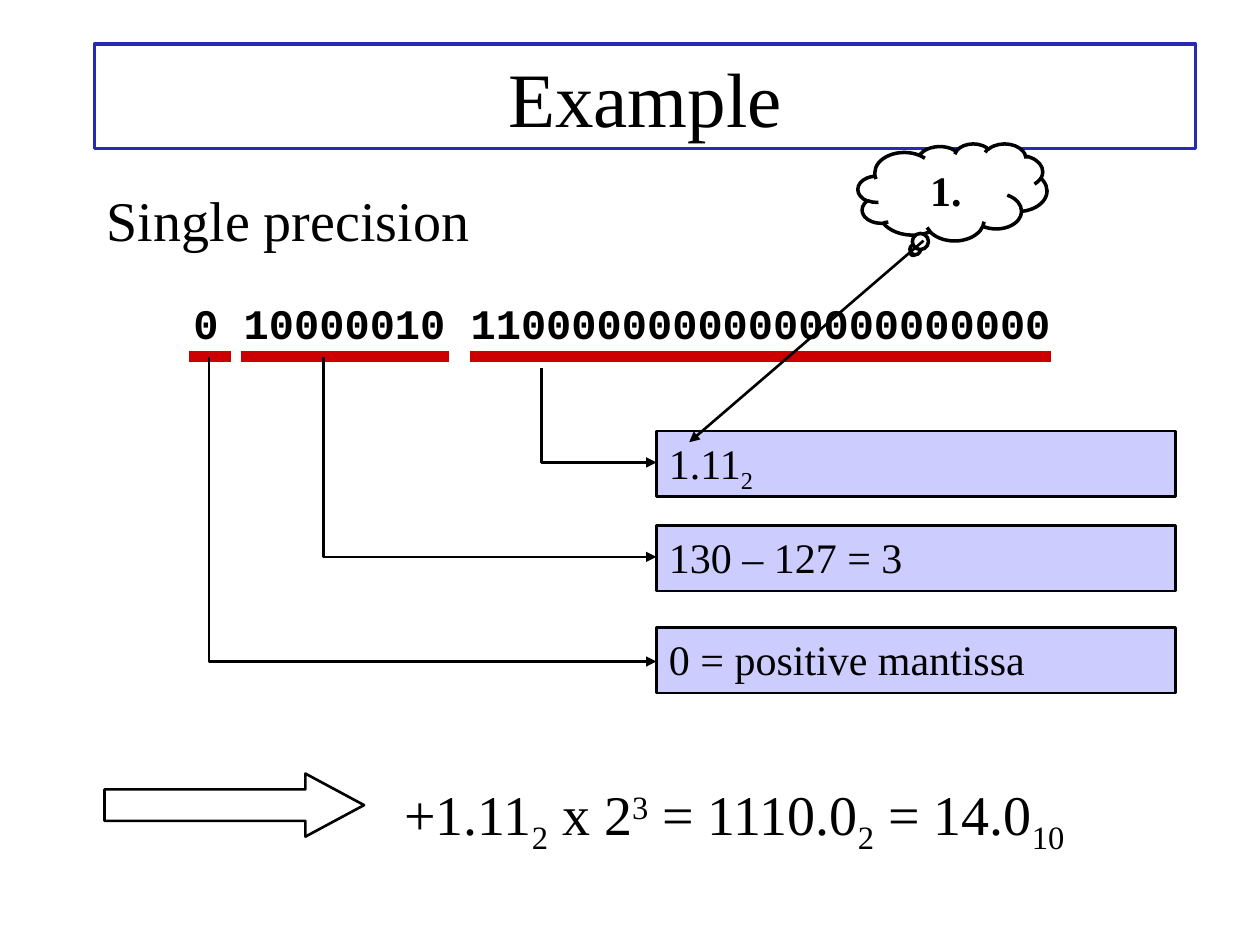
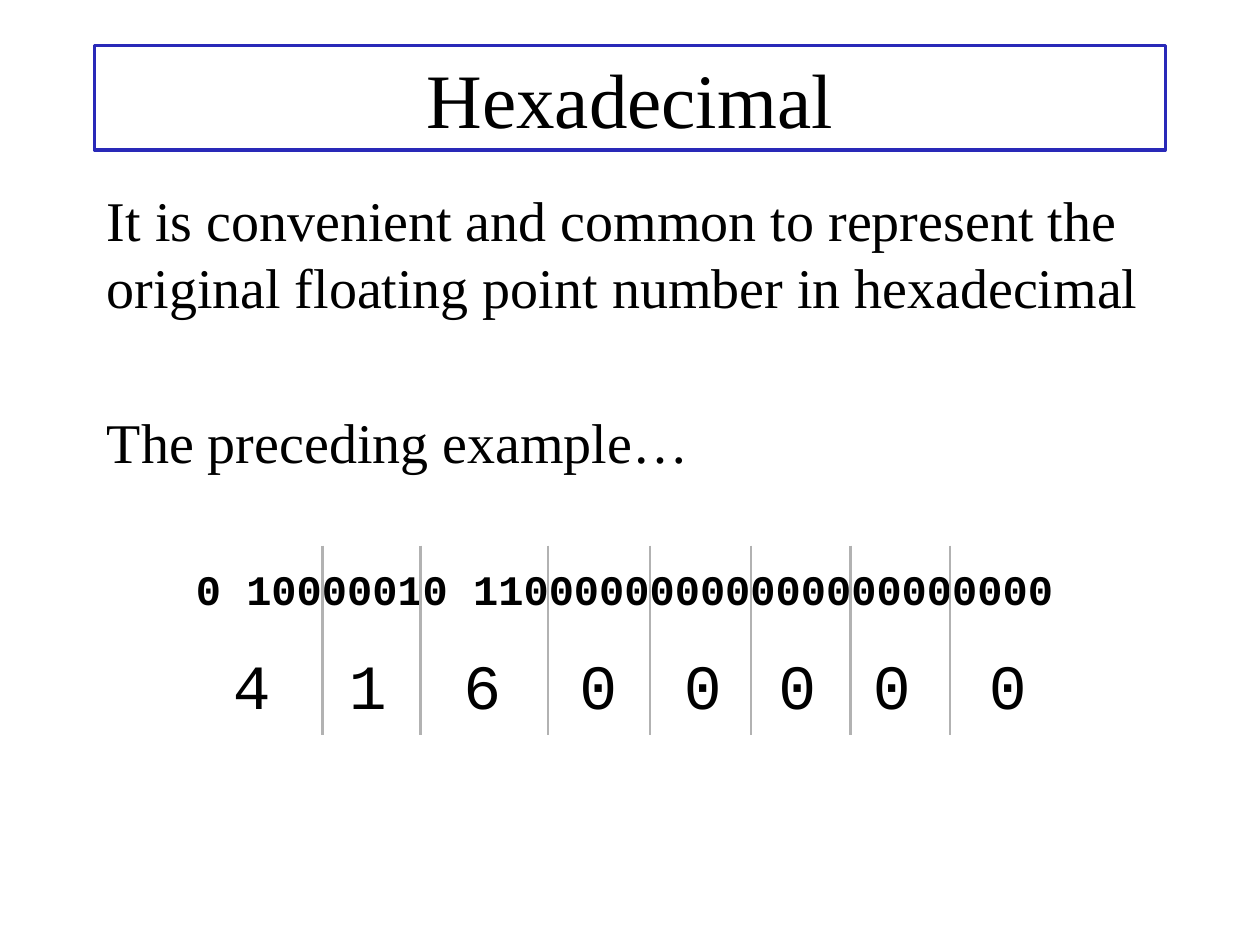
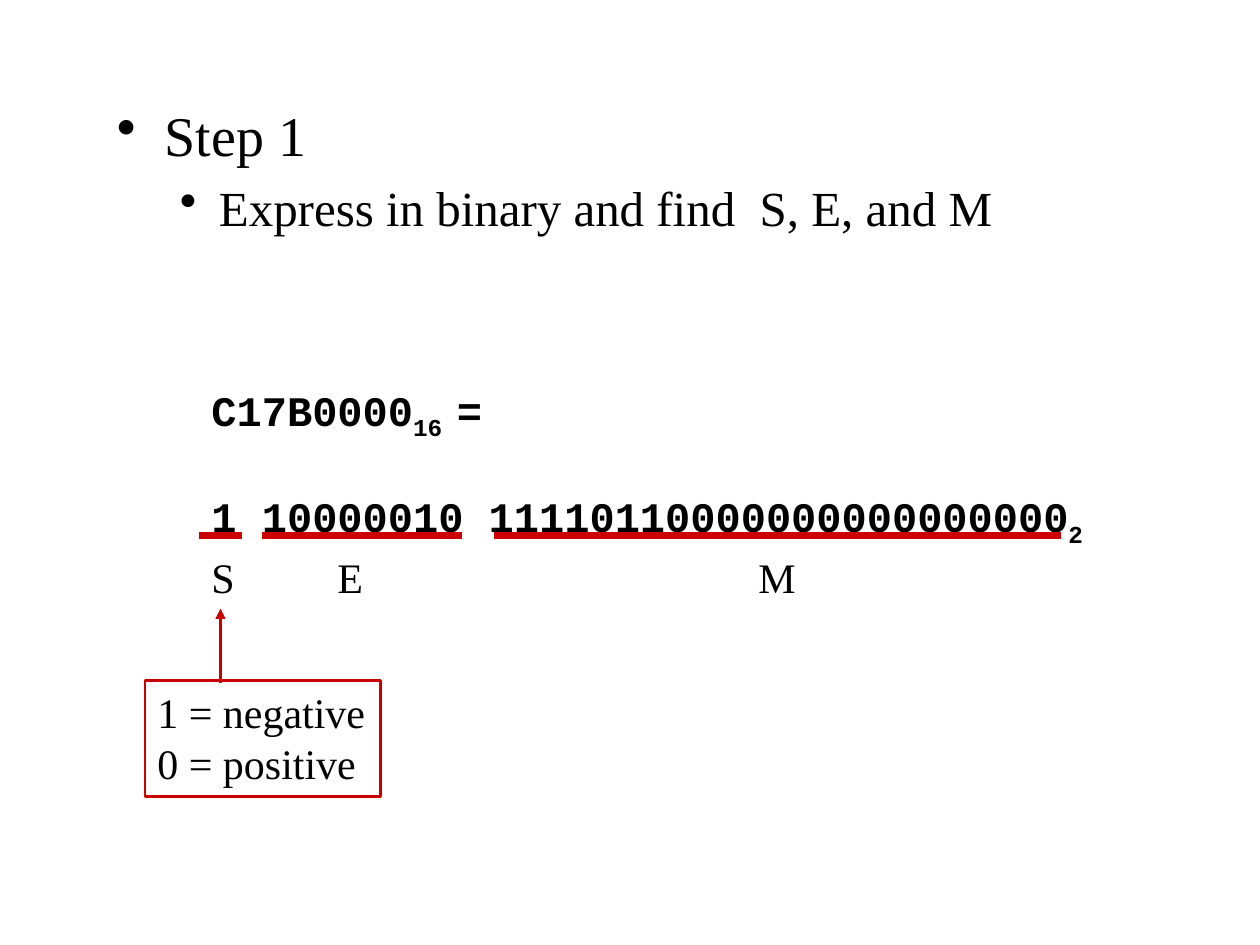
from lxml import etree
from pptx import Presentation
from pptx.dml.color import RGBColor
from pptx.enum.shapes import MSO_CONNECTOR, MSO_SHAPE
from pptx.enum.text import MSO_ANCHOR, PP_ALIGN
from pptx.oxml.ns import qn
from pptx.util import Inches, Pt

RECTANGLE = MSO_SHAPE.RECTANGLE
RIGHT_ARROW = MSO_SHAPE.RIGHT_ARROW
CLOUD = MSO_SHAPE.CLOUD_CALLOUT
STRAIGHT = MSO_CONNECTOR.STRAIGHT
LEFT, CENTER = PP_ALIGN.LEFT, PP_ALIGN.CENTER
TOP, MIDDLE = MSO_ANCHOR.TOP, MSO_ANCHOR.MIDDLE

BLACK = RGBColor(0x00, 0x00, 0x00)
WHITE = RGBColor(0xFF, 0xFF, 0xFF)
BLUE = RGBColor(0x29, 0x29, 0xB8)
LAVENDER = RGBColor(0xCC, 0xCC, 0xFF)
RED = RGBColor(0xCC, 0x00, 0x00)
GRAY = RGBColor(0xB2, 0xB2, 0xB2)

SERIF, MONO = "Times New Roman", "Courier New"
BODY = {"name": SERIF, "size": Pt(32)}
SUBPOINT = {"name": SERIF, "size": Pt(28)}
LABEL = {"name": SERIF, "size": Pt(24)}
LABEL_BOLD = {**LABEL, "bold": True}
BITS = {"name": MONO, "size": Pt(24), "bold": True}
DIGIT = {"name": MONO, "size": Pt(36)}
HEADING = {"name": SERIF, "size": Pt(44)}

SUBSCRIPT, SUPERSCRIPT = -25000, 30000
FLOAT_BITS = "0 10000010 11000000000000000000000"


class Deck:
    """Holds the presentation, its style and the current slide."""

    def __init__(self):
        self.presentation = Presentation()
        self.presentation.slide_width = Inches(10)
        self.presentation.slide_height = Inches(7.5)
        self.slide = None

    def new_slide(self):
        self.slide = self.presentation.slides.add_slide(self.presentation.slide_layouts[6])

    def add_runs(self, paragraph, content, style):
        """Content is a string or a list of strings and (text, baseline) pairs."""
        for part in [content] if isinstance(content, str) else content:
            text, baseline = (part, 0) if isinstance(part, str) else part
            run = paragraph.add_run()
            run.text = text
            for name, value in style.items():
                setattr(run.font, name, value)
            run.font.color.rgb = BLACK
            if baseline:
                run.font._element.set("baseline", str(baseline))

    def fill_text(self, shape, paragraphs, style, align=LEFT, anchor=TOP, wrap=True, gap=0):
        frame = shape.text_frame
        frame.word_wrap = wrap
        frame.vertical_anchor = anchor
        for index, content in enumerate(paragraphs):
            paragraph = frame.add_paragraph() if index else frame.paragraphs[0]
            paragraph.alignment = align
            paragraph.space_before = Pt(gap if index else 0)
            self.add_runs(paragraph, content, style)

    def text(self, left, top, width, height, paragraphs, style, **layout):
        box = self.slide.shapes.add_textbox(*map(Inches, (left, top, width, height)))
        self.fill_text(box, paragraphs, style, **layout)
        return box

    def shape(self, kind, left, top, width, height, fill=WHITE, line=None, weight=1.5):
        shape = self.slide.shapes.add_shape(kind, *map(Inches, (left, top, width, height)))
        shape.shadow.inherit = False
        shape.fill.solid()
        shape.fill.fore_color.rgb = fill
        if line is None:
            shape.line.fill.background()
        else:
            self.stroke(shape, line, weight)
        return shape

    def title(self, text, top, width):
        frame = self.shape(RECTANGLE, 0.75, top, width, 0.83, line=BLUE, weight=2)
        self.fill_text(frame, [text], HEADING, align=CENTER, anchor=MIDDLE)

    def stroke(self, shape, color, weight, arrow=False):
        shape.line.color.rgb = color
        shape.line.width = Pt(weight)
        if arrow:
            outline = shape.element.spPr.find(qn("a:ln"))
            etree.SubElement(outline, qn("a:tailEnd"), type="triangle")

    def line(self, x1, y1, x2, y2, color, weight=1.5, arrow=False):
        connector = self.slide.shapes.add_connector(STRAIGHT, *map(Inches, (x1, y1, x2, y2)))
        self.stroke(connector, color, weight, arrow)
        etree.SubElement(connector.element.spPr, qn("a:effectLst"))

    def underlines(self, spans, y, weight):
        for start, end in spans:
            self.line(start, y, end, y, RED, weight)

    def elbow(self, x, top, end_x, end_y):
        builder = self.slide.shapes.build_freeform(Inches(x), Inches(top))
        corners = [(x, end_y), (end_x, end_y)]
        builder.add_line_segments([tuple(map(Inches, corner)) for corner in corners], close=False)
        bend = builder.convert_to_shape()
        bend.shadow.inherit = False
        bend.fill.background()
        self.stroke(bend, BLACK, 1.5, arrow=True)

    def bullet(self, paragraph, level, margin, indent):
        paragraph.level = level
        properties = paragraph._p.get_or_add_pPr()
        properties.set("marL", str(Inches(margin)))
        properties.set("indent", str(Inches(indent)))
        etree.SubElement(properties, qn("a:buChar"), char="•")


def build_example(deck):
    deck.new_slide()
    deck.title("Example", 0.35, 8.74)
    deck.text(0.75, 1.42, 8.74, 0.7, ["Single precision"], BODY)

    # Bit fields
    deck.text(1.06, 2.31, 7.75, 0.5, [FLOAT_BITS], BITS, align=CENTER)
    deck.underlines([(1.5, 1.83), (1.91, 3.56), (3.73, 8.34)], 2.83, 6)

    # Meaning of each field, with the arrow that leads to it
    meanings = [
        (3.42, ["1.11", ("2", SUBSCRIPT)], 4.3, 2.92, 3.67),
        (4.17, "130 – 127 = 3", 2.57, 2.83, 4.42),
        (4.98, "0 = positive mantissa", 1.66, 2.83, 5.25),
    ]
    for top, content, field_x, field_y, arrow_y in meanings:
        box = deck.shape(RECTANGLE, 5.21, top, 4.12, 0.52, LAVENDER, BLACK)
        deck.fill_text(box, [content], LABEL)
        deck.elbow(field_x, field_y, 5.21, arrow_y)

    # Result
    result = ["+1.11", ("2", SUBSCRIPT), " x 2", ("3", SUPERSCRIPT), " = 1110.0",
              ("2", SUBSCRIPT), " = 14.0", ("10", SUBSCRIPT)]
    deck.text(3.11, 6.14, 6.14, 0.64, [result], BODY)
    arrow = deck.shape(RIGHT_ARROW, 0.83, 6.14, 2.06, 0.5, line=BLACK)
    arrow.adjustments[1] = 0.93

    # Implied leading one
    cloud = deck.shape(CLOUD, 6.81, 1.14, 1.5, 0.77, line=BLACK, weight=2)
    deck.fill_text(cloud, ["1."], LABEL_BOLD, align=CENTER, anchor=MIDDLE)
    deck.line(7.33, 1.91, 5.47, 3.51, BLACK, arrow=True)


def build_hexadecimal(deck):
    deck.new_slide()
    deck.title("Hexadecimal", 0.36, 8.5)
    deck.text(0.75, 1.42, 8.5, 2.6, [
        "It is convenient and common to represent the original floating point number in hexadecimal",
        "The preceding example…",
    ], BODY, gap=50)

    # Bits split into groups of four
    deck.text(1.08, 4.42, 7.75, 0.5, [FLOAT_BITS], BITS, align=CENTER)
    for x in (2.56, 3.34, 4.35, 5.16, 5.96, 6.75, 7.54):
        deck.line(x, 4.33, x, 5.83, GRAY)
    digit_lefts = (1.75, 2.67, 3.58, 4.5, 5.33, 6.08, 6.83, 7.75)
    for left, digit in zip(digit_lefts, "41600000"):
        deck.text(left, 5.08, 0.5, 0.7, [digit], DIGIT, wrap=False)


def build_step(deck):
    deck.new_slide()
    steps = deck.text(0.83, 0.75, 8.5, 1.5, ["Step 1"], BODY)
    detail = steps.text_frame.add_paragraph()
    detail.space_before = Pt(5.6)
    deck.add_runs(detail, "Express in binary and find  S, E, and M", SUBPOINT)
    deck.bullet(steps.text_frame.paragraphs[0], 0, 0.38, -0.38)
    deck.bullet(detail, 1, 0.81, -0.31)

    # Number in hexadecimal and in binary
    deck.text(1.58, 3, 7.33, 1.31, [
        ["C17B0000", ("16 ", SUBSCRIPT), "="],
        ["1 10000010 11110110000000000000000", ("2", SUBSCRIPT)],
    ], BITS, gap=28)
    deck.underlines([(1.58, 1.92), (2.08, 3.67), (3.92, 8.42)], 4.25, 4.5)
    for name, left, width in (("S", 1.58, 0.39), ("E", 2.58, 0.4), ("M", 5.92, 0.5)):
        deck.text(left, 4.33, width, 0.5, [name], LABEL, wrap=False)

    # Sign legend
    legend = deck.shape(RECTANGLE, 1.15, 5.4, 1.87, 0.92, line=RED)
    deck.fill_text(legend, ["1 = negative", "0 = positive"], LABEL, wrap=False)
    deck.line(1.75, 5.42, 1.75, 4.83, RED, arrow=True)


def main():
    deck = Deck()
    build_example(deck)
    build_hexadecimal(deck)
    build_step(deck)
    deck.presentation.save("out.pptx")


if __name__ == "__main__":
    main()
